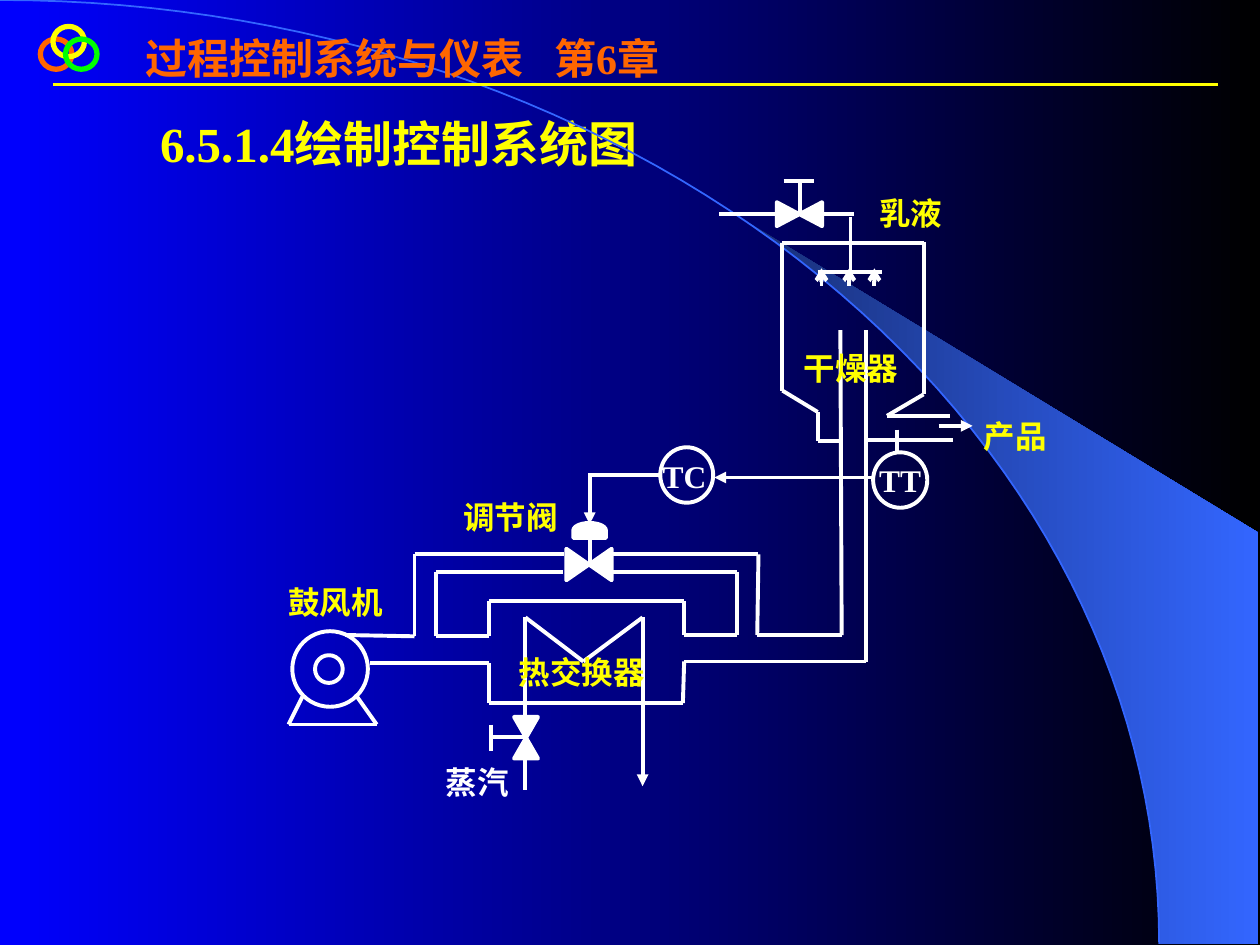
from itertools import pairwise
from math import asin, cos, pi, sin

from lxml import etree
from pptx import Presentation
from pptx.dml.color import RGBColor
from pptx.enum.shapes import MSO_CONNECTOR, MSO_SHAPE
from pptx.enum.text import MSO_ANCHOR, MSO_AUTO_SIZE, PP_ALIGN
from pptx.oxml.ns import qn
from pptx.util import Inches, Pt

STRAIGHT = MSO_CONNECTOR.STRAIGHT
OVAL = MSO_SHAPE.OVAL
VALVE = MSO_SHAPE.FLOWCHART_COLLATE
ACTUATOR = MSO_SHAPE.FLOWCHART_DELAY

BLUE = RGBColor(0x00, 0x00, 0xFF)
BLACK = RGBColor(0x00, 0x00, 0x00)
NAVY = RGBColor(0x18, 0x2F, 0x76)
SKY = RGBColor(0x33, 0x66, 0xFF)
ORANGE = RGBColor(0xFF, 0x66, 0x00)
YELLOW = RGBColor(0xFF, 0xFF, 0x00)
GREEN = RGBColor(0x00, 0xFF, 0x00)
WHITE = RGBColor(0xFF, 0xFF, 0xFF)
FONT = "Times New Roman"
LINE_WIDTH = 2.25

# Content: wording
HEADER = "过程控制系统与仪表\t第6章"
HEADER_TAB = 3.24
TITLE = "6.5.1.4绘制控制系统图"
LABELS = [  # text, left, top, width, colour
    ("调节阀", 3.58, 3.9, 1.09, YELLOW),
    ("热交换器", 4.02, 5.13, 1.31, YELLOW),
    ("鼓风机", 2.19, 4.58, 1.14, YELLOW),
    ("产品", 7.71, 3.26, 0.74, YELLOW),
    ("干燥器", 6.28, 2.72, 1.14, YELLOW),
    ("蒸汽", 3.44, 6.01, 0.8, WHITE),
    ("乳液", 6.88, 1.49, 0.75, YELLOW),
    ("TC", 5.16, 3.58, 0.62, WHITE),
    ("TT", 6.88, 3.61, 0.63, WHITE),
]

# Content: pipework, each a chain of corner points
PIPES = {
    "emulsion feed": [
        [(5.71, 1.7), (6.78, 1.7)],
        [(6.75, 1.72), (6.75, 2.18)],
        [(6.35, 1.7), (6.35, 1.45)],
        [(6.22, 1.44), (6.46, 1.44)],
        [(6.49, 2.16), (7, 2.16)],
    ],
    "dryer": [
        [(7.33, 1.93), (6.21, 1.93), (6.21, 3.1), (6.49, 3.27), (6.49, 3.5), (6.69, 3.5)],
        [(7.33, 1.92), (7.33, 3.13), (7.04, 3.3), (7.54, 3.3)],
        [(6.88, 3.49), (7.56, 3.49)],
    ],
    "hot air duct": [
        [(6.87, 2.62), (6.87, 5.25), (5.43, 5.25)],
        [(6.67, 2.62), (6.68, 5.04), (6.01, 5.04), (6.02, 4.4), (4.86, 4.4)],
    ],
    "heat exchanger": [
        [(5.43, 5.25), (5.42, 5.58), (3.88, 5.58), (3.88, 5.26), (2.94, 5.26)],
        [(3.46, 5.05), (3.88, 5.05), (3.88, 4.77), (5.43, 4.77), (5.43, 5.04), (5.85, 5.04)],
        [(4.17, 5.68), (4.17, 4.9), (4.63, 5.25), (5.1, 4.9)],
    ],
    "bypass": [
        [(3.46, 5.05), (3.46, 4.54), (4.47, 4.54)],
        [(4.86, 4.54), (5.85, 4.54), (5.85, 5.04)],
        [(2.74, 5.04), (3.29, 5.05), (3.29, 4.4), (4.48, 4.4)],
        [(4.68, 4.47), (4.68, 4.15)],
    ],
    "blower stand": [[(2.4, 5.53), (2.29, 5.75), (2.99, 5.75), (2.82, 5.51)]],
    "steam inlet": [
        [(4.17, 5.85), (3.9, 5.85)],
        [(3.9, 5.75), (3.9, 5.96)],
        [(4.17, 6.03), (4.17, 6.27)],
    ],
    "signals": [
        [(7.12, 3.41), (7.12, 3.59)],
        [(5.24, 3.77), (4.67, 3.77)],
    ],
}
ARROWS = [  # start, end
    ((5.1, 4.9), (5.1, 6.24)),
    ((7.45, 3.38), (7.72, 3.38)),
    ((6.92, 3.79), (5.67, 3.79)),
    ((4.68, 3.77), (4.68, 4.16)),
]
NOZZLES = [6.52, 6.74, 6.94]

RINGS = [(0.32, 0.31, ORANGE), (0.42, 0.21, YELLOW), (0.52, 0.31, GREEN)]
CIRCLES = {  # left, top, width, height
    "blower casing": (2.32, 5.01, 0.6, 0.6),
    "blower hub": (2.5, 5.2, 0.22, 0.22),
    "controller": (5.24, 3.55, 0.42, 0.44),
    "transmitter": (6.93, 3.59, 0.43, 0.44),
}
FITTINGS = [  # preset, left, top, width, height, rotation
    (VALVE, 4.55, 4.3, 0.25, 0.36, 270),
    (ACTUATOR, 4.62, 4.08, 0.12, 0.26, 270),
    (VALVE, 4.08, 5.69, 0.19, 0.33, 180),
    (VALVE, 6.25, 1.52, 0.19, 0.36, 270),
]

# Backdrop curve: a quarter ellipse centred on the lower left corner
RADIUS_X, RADIUS_Y = 9.2, 7.49
WEDGE_START = 5.89


def arc_points(start, steps=60):
    angles = (start + (pi / 2 - start) * i / steps for i in range(steps + 1))
    return [(RADIUS_X * sin(a), RADIUS_Y * (1 - cos(a))) for a in angles]


def set_gradient(fill, first, last):
    fill.gradient()
    fill.gradient_angle = 0
    for stop, colour, position in zip(fill.gradient_stops, (first, last), (0, 1)):
        stop.color.rgb = colour
        stop.position = position


def add_outline(page, points, close):
    emu = [(Inches(x), Inches(y)) for x, y in points]
    builder = page.shapes.build_freeform(*emu[0], scale=1.0)
    builder.add_line_segments(emu[1:], close=close)
    shape = builder.convert_to_shape()
    shape.shadow.inherit = False
    return shape


def add_line(page, start, end, colour=WHITE, width=LINE_WIDTH, end_mark=None):
    line = page.shapes.add_connector(STRAIGHT, *map(Inches, start + end))
    line.line.color.rgb = colour
    line.line.width = Pt(width)
    if end_mark:
        etree.SubElement(line.line._get_or_add_ln(), qn("a:tailEnd"), type=end_mark)
    etree.SubElement(line._element.spPr, qn("a:effectLst"))


def add_preset(page, preset, frame, colour=WHITE, width=LINE_WIDTH, filled=False):
    shape = page.shapes.add_shape(preset, *map(Inches, frame))
    shape.shadow.inherit = False
    if filled:
        shape.fill.solid()
        shape.fill.fore_color.rgb = colour
    else:
        shape.fill.background()
    shape.line.color.rgb = colour
    shape.line.width = Pt(width)
    return shape


def write(box, text, size, colour, wrap=True):
    frame = box.text_frame
    frame.auto_size = MSO_AUTO_SIZE.NONE
    frame.word_wrap = wrap
    frame.vertical_anchor = MSO_ANCHOR.TOP
    para = frame.paragraphs[0]
    para.text = text
    para.alignment = PP_ALIGN.LEFT
    para.line_spacing = 1.0
    if "\t" in text:
        tabs = etree.SubElement(para._p.get_or_add_pPr(), qn("a:tabLst"))
        etree.SubElement(tabs, qn("a:tab"), pos=str(Inches(HEADER_TAB)), algn="l")
    font = para.font
    font.name, font.size, font.bold = FONT, Pt(size), True
    font.color.rgb = colour


def main():
    deck = Presentation()
    deck.slide_width, deck.slide_height = Inches(10), Inches(7.5)
    page = deck.slides.add_slide(deck.slide_layouts[5])

    # Backdrop
    set_gradient(page.background.fill, BLUE, BLACK)
    edge = arc_points(asin(WEDGE_START / RADIUS_X))
    wedge = add_outline(page, edge + [(9.99, 7.49), (9.99, 4.23)], True)
    set_gradient(wedge.fill, NAVY, SKY)
    wedge.line.fill.background()
    curve = add_outline(page, arc_points(0), False)
    curve.fill.background()
    curve.line.color.rgb = SKY
    curve.line.width = Pt(1)

    # Header and title
    add_line(page, (0.42, 0.67), (9.67, 0.67), YELLOW, 1.5)
    header = page.shapes.add_textbox(*map(Inches, (1.06, 0.21, 4.49, 0.9)))
    write(header, HEADER, 24, ORANGE)
    for left, top, colour in RINGS:
        add_preset(page, OVAL, (left, top, 0.25, 0.24), colour, 3)
    title = page.shapes.title
    title.left, title.top, title.width, title.height = map(Inches, (1.17, 0.85, 4.08, 0.57))
    write(title, TITLE, 28, YELLOW, wrap=False)

    # Process diagram
    for chains in PIPES.values():
        for chain in chains:
            for start, end in pairwise(chain):
                add_line(page, start, end)
    for start, end in ARROWS:
        add_line(page, start, end, end_mark="triangle")
    for x in NOZZLES:
        add_line(page, (x, 2.27), (x, 2.13), end_mark="arrow")
    for frame in CIRCLES.values():
        add_preset(page, OVAL, frame)
    for preset, *frame, rotation in FITTINGS:
        add_preset(page, preset, frame, filled=True).rotation = rotation

    # Labels
    for text, left, top, width, colour in LABELS:
        label = page.shapes.add_textbox(*map(Inches, (left, top, width, 0.42)))
        write(label, text, 18, colour)

    deck.save("out.pptx")


if __name__ == "__main__":
    main()
